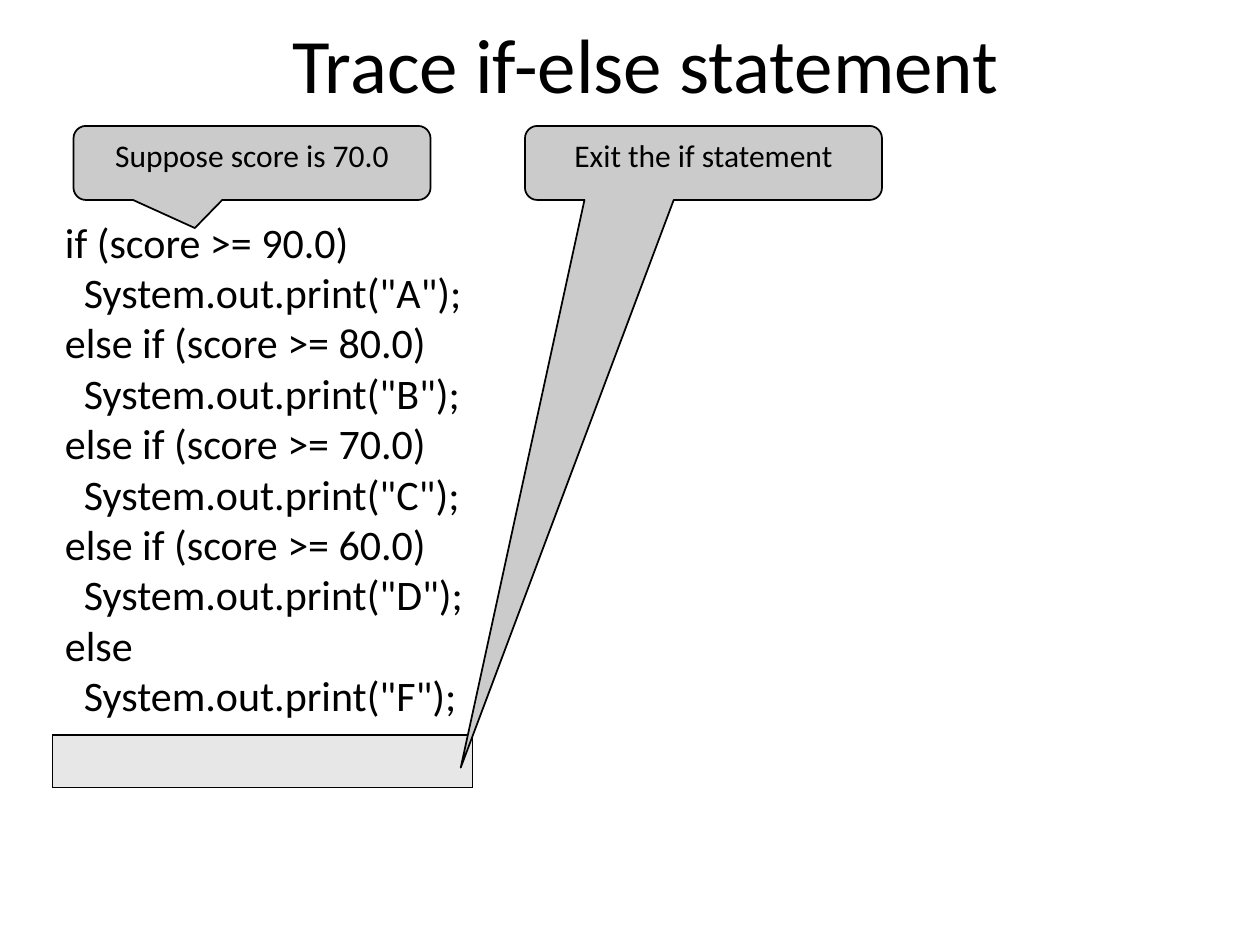
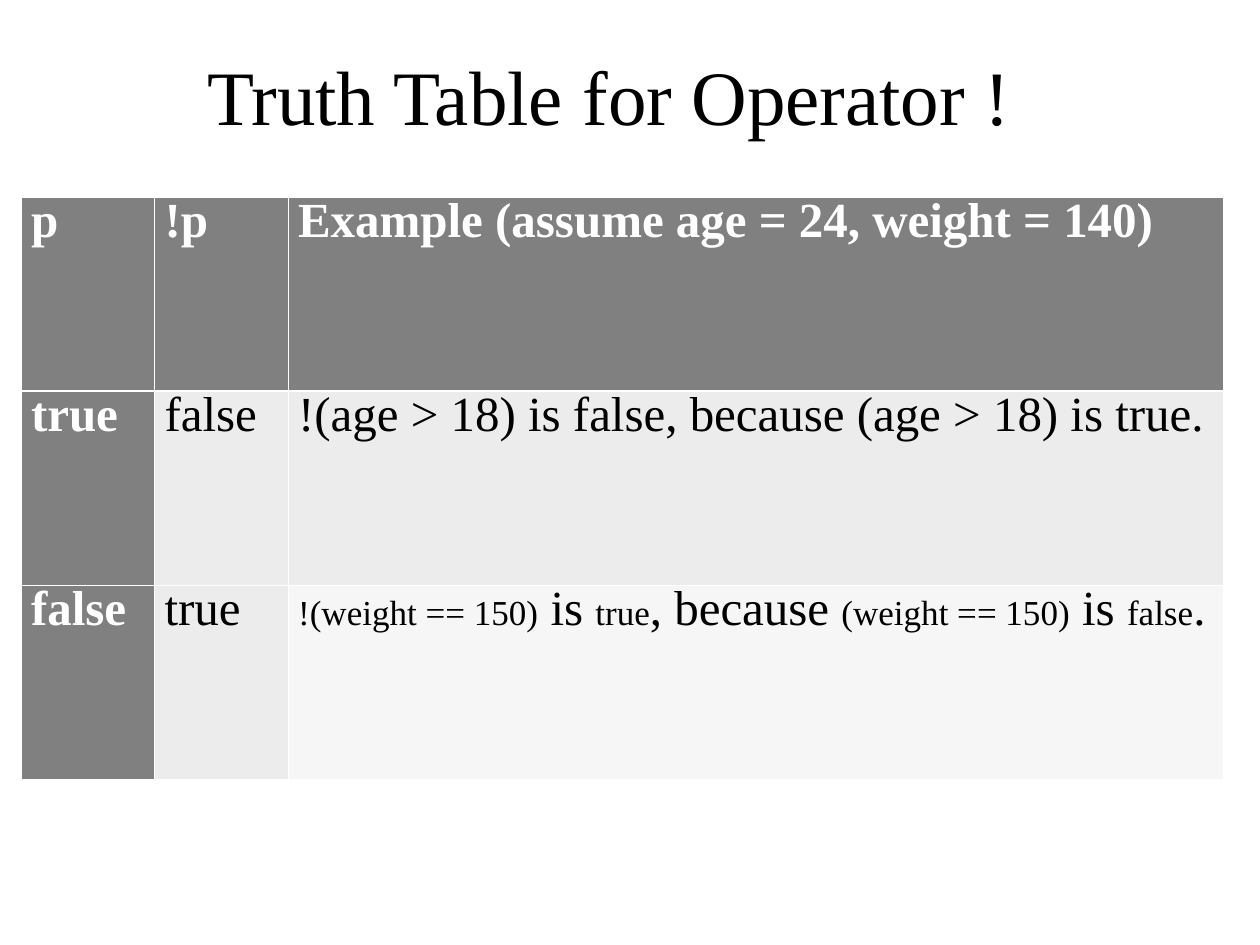
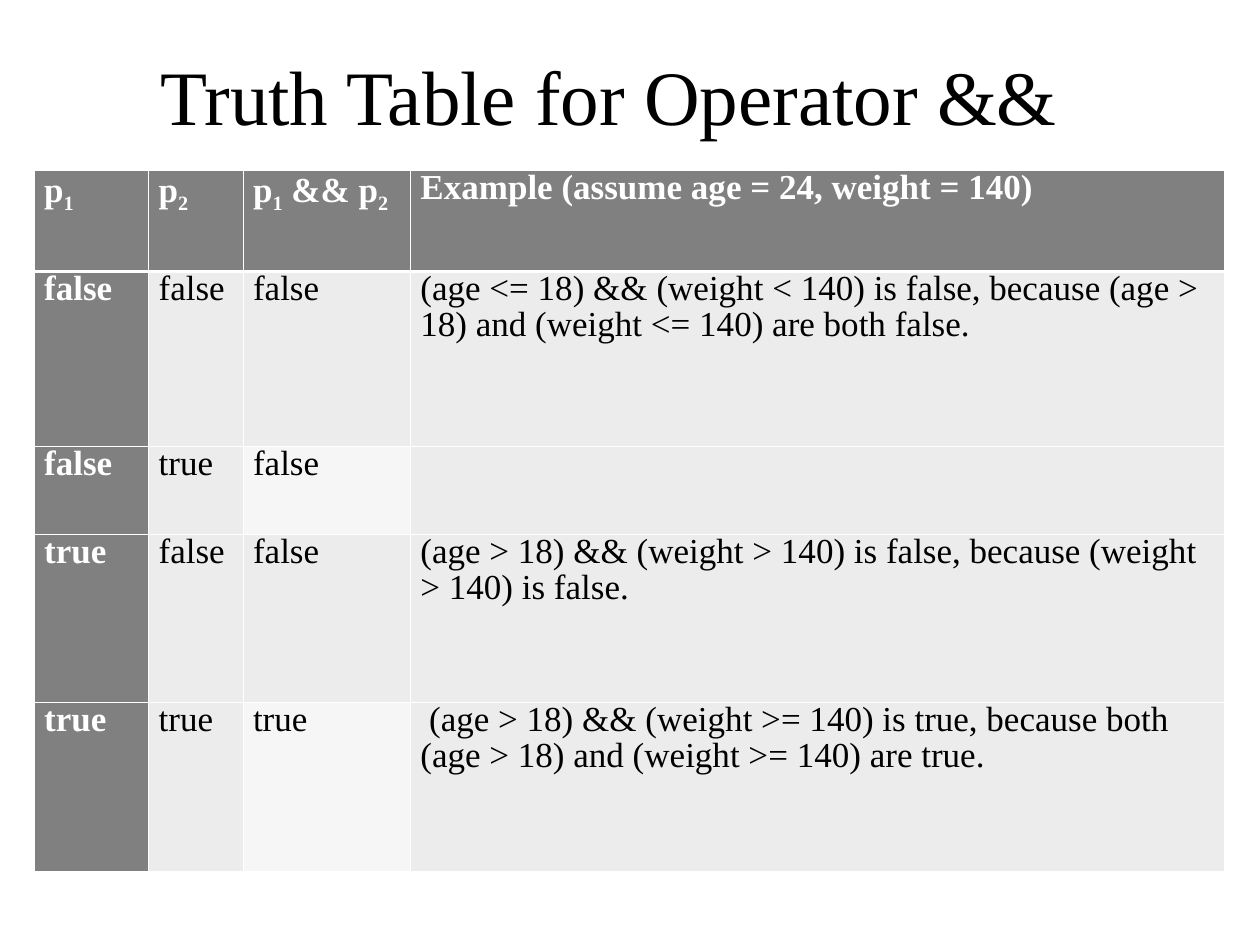
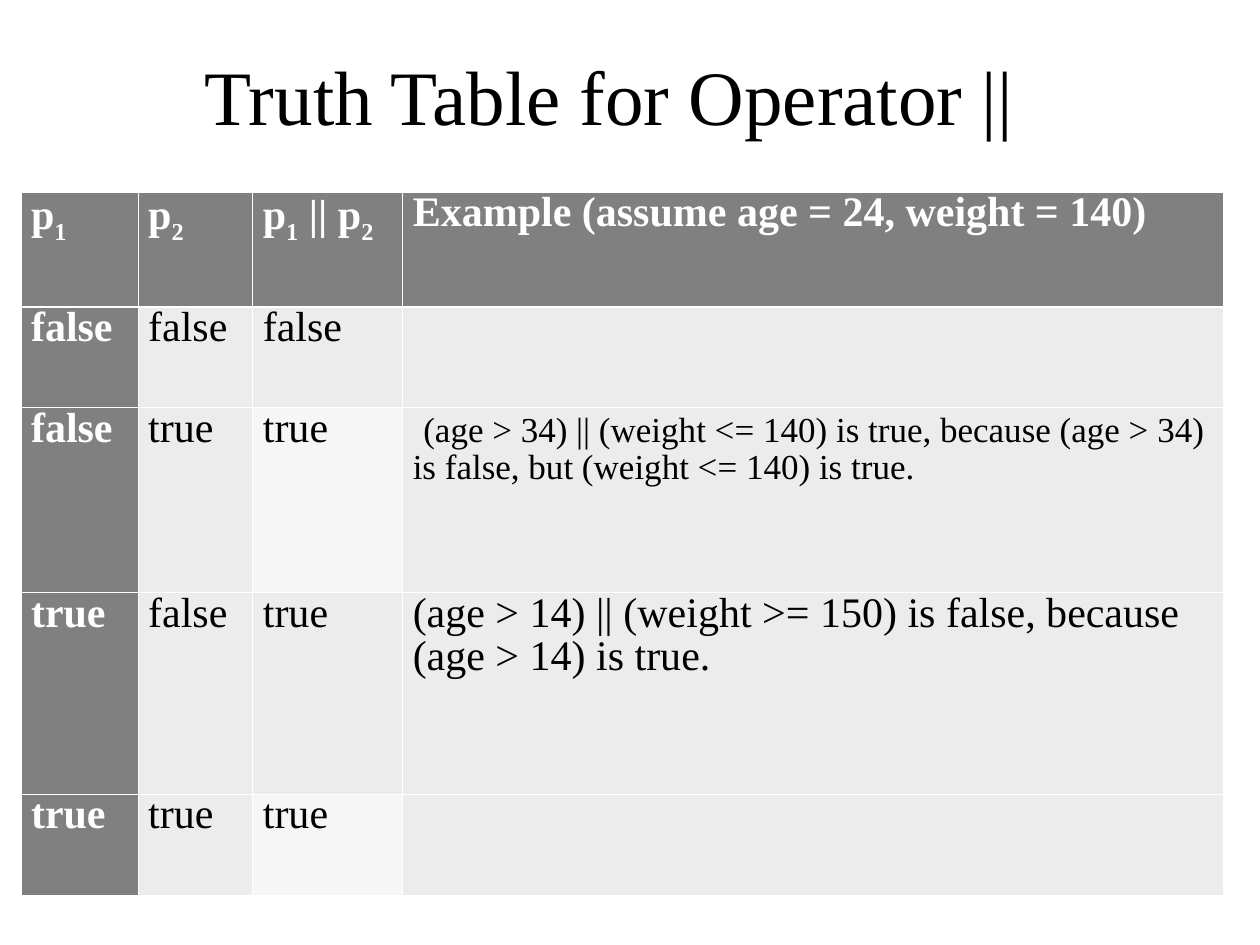
import lxml.etree
import pptx
import pptx.dml.color
import pptx.enum.shapes
import pptx.enum.text
import pptx.oxml.ns
import pptx.util

RGBColor = pptx.dml.color.RGBColor
Shape = pptx.enum.shapes.MSO_SHAPE
Align = pptx.enum.text.PP_ALIGN
Anchor = pptx.enum.text.MSO_ANCHOR
AutoSize = pptx.enum.text.MSO_AUTO_SIZE

BLACK = RGBColor(0x00, 0x00, 0x00)
WHITE = RGBColor(0xFF, 0xFF, 0xFF)
CALLOUT_GREY = RGBColor(0xCB, 0xCB, 0xCB)
HEADER_GREY = RGBColor(0x80, 0x80, 0x80)
CELL_GREY = RGBColor(0xEC, 0xEC, 0xEC)
PALE_GREY = RGBColor(0xF6, 0xF6, 0xF6)

SANS = "Calibri"
SERIF = "Times New Roman"
UNIT = pptx.util.Inches(1) / 12
THIN, THICK = 0.45, 1.47

TRUTH_TITLE_BOX = (7, 0, 102, 18)
EXAMPLE_HEADING = "Example (assume age = 24, weight = 140)"
CODE_LINES = [
    "if (score >= 90.0)",
    '  System.out.print("A");',
    "else if (score >= 80.0)",
    '  System.out.print("B");',
    "else if (score >= 70.0)",
    '  System.out.print("C");',
    "else if (score >= 60.0)",
    '  System.out.print("D");',
    "else",
    '  System.out.print("F");',
]


def grid(*units):
    return [pptx.util.Emu(round(unit * UNIT)) for unit in units]


def write(para, text, font=SANS, size=18, color=BLACK, bold=False, baseline=0):
    span = para.add_run()
    span.text = text
    span.font.name = font
    span.font.size = pptx.util.Pt(size)
    span.font.color.rgb = color
    span.font.bold = bold
    if baseline:
        span.font._element.set("baseline", str(baseline * 1000))


def add_page(deck, title, box, font):
    page = deck.slides.add_slide(deck.slide_layouts[5])
    heading = page.shapes.title
    heading.left, heading.top, heading.width, heading.height = grid(*box)
    frame = heading.text_frame
    frame.word_wrap = True
    frame.auto_size = AutoSize.NONE
    frame.vertical_anchor = Anchor.MIDDLE
    frame.paragraphs[0].alignment = Align.CENTER
    write(frame.paragraphs[0], title, font=font, size=44)
    return page


def add_outlined(page, kind, box):
    shape = page.shapes.add_shape(kind, *grid(*box))
    shape.shadow.inherit = False
    shape.line.color.rgb = BLACK
    shape.line.width = pptx.util.Pt(1)
    return shape


def add_code(page, box):
    frame = page.shapes.add_textbox(*grid(*box)).text_frame
    frame.word_wrap = True
    frame.auto_size = AutoSize.SHAPE_TO_FIT_TEXT
    for number, line in enumerate(CODE_LINES):
        para = frame.add_paragraph() if number else frame.paragraphs[0]
        write(para, line, size=24)


def add_callout(page, box, text, pointer):
    callout = add_outlined(page, Shape.ROUNDED_RECTANGULAR_CALLOUT, box)
    callout.fill.solid()
    callout.fill.fore_color.rgb = CALLOUT_GREY
    callout.adjustments[0], callout.adjustments[1] = pointer
    frame = callout.text_frame
    frame.word_wrap = True
    frame.vertical_anchor = Anchor.TOP
    frame.paragraphs[0].alignment = Align.CENTER
    write(frame.paragraphs[0], text)


def add_highlight(page, box):
    tint = add_outlined(page, Shape.RECTANGLE, box)
    tint.fill.solid()
    tint.fill.fore_color.rgb = CALLOUT_GREY
    color = tint.fill._xPr.find(".//" + pptx.oxml.ns.qn("a:srgbClr"))
    lxml.etree.SubElement(color, pptx.oxml.ns.qn("a:alpha"), val="45000")
    add_outlined(page, Shape.RECTANGLE, box).fill.background()


def add_trace_page(deck):
    page = add_page(deck, "Trace if-else statement", (9, 0, 105, 12), SANS)
    add_code(page, (5, 20, 45, 49.2))
    add_callout(page, (7, 12, 34, 7.05), "Suppose score is 70.0", (-0.16, 0.88))
    add_highlight(page, (5, 70, 40, 5))
    add_callout(page, (50, 12, 34, 7.05), "Exit the if statement", (-0.68, 8.17))


def set_borders(cell, row):
    widths = {
        "L": THIN,
        "R": THIN,
        "T": THICK if row == 1 else THIN,
        "B": THICK if row == 0 else THIN,
    }
    properties = cell._tc.get_or_add_tcPr()
    for side, width in widths.items():
        line = lxml.etree.SubElement(
            properties, pptx.oxml.ns.qn("a:ln" + side), w=str(pptx.util.Pt(width))
        )
        fill = lxml.etree.SubElement(line, pptx.oxml.ns.qn("a:solidFill"))
        lxml.etree.SubElement(fill, pptx.oxml.ns.qn("a:srgbClr"), val=str(WHITE))


def fill_cell(cell, row, column, content, size):
    is_heading = row == 0 or column == 0
    is_pale = column == 2 and row % 2 == 0
    set_borders(cell, row)
    cell.fill.solid()
    cell.fill.fore_color.rgb = (
        HEADER_GREY if is_heading else PALE_GREY if is_pale else CELL_GREY
    )
    cell.margin_left = cell.margin_right = pptx.util.Inches(0.08)
    cell.margin_top = cell.margin_bottom = 0
    cell.vertical_anchor = Anchor.TOP
    para = cell.text_frame.paragraphs[0]
    para.line_spacing = 0.93
    style = {
        "font": SERIF,
        "size": size,
        "color": WHITE if is_heading else BLACK,
        "bold": is_heading,
    }
    spans = [(content, {})] if isinstance(content, str) else content
    for text, changes in spans:
        if text:
            write(para, text, **{**style, **changes})


def add_truth_table(page, box, columns, rows, size, contents):
    left, top, width, height = grid(*box)
    table = page.shapes.add_table(
        len(rows), len(columns), left, top, width, height
    ).table
    table.horz_banding = False
    for column, share in zip(table.columns, columns):
        column.width = round(width * share / sum(columns))
    for row, share in zip(table.rows, rows):
        row.height = round(height * share / sum(rows))
    for row, line in enumerate(contents):
        for column, content in enumerate(line):
            fill_cell(table.cell(row, column), row, column, content, size)


def add_truth_page(deck, operator, **layout):
    title = f"Truth Table for Operator {operator}"
    page = add_page(deck, title, TRUTH_TITLE_BOX, SERIF)
    add_truth_table(page, **layout)


def operand(number, lead=""):
    return [(lead + "p", {}), (str(number), {"baseline": -25})]


def binary_contents(operator, results, examples):
    heading = [
        operand(1),
        operand(2),
        operand(1) + operand(2, f" {operator} "),
        EXAMPLE_HEADING,
    ]
    inputs = [(p1, p2) for p1 in ("false", "true") for p2 in ("false", "true")]
    return [heading] + [
        [p1, p2, result, example]
        for (p1, p2), result, example in zip(inputs, results, examples)
    ]


def main():
    deck = pptx.Presentation()
    deck.slide_width, deck.slide_height = grid(120, 90)
    add_trace_page(deck)

    small = {"size": 20}
    negation_example = [
        ("!(weight == 150)", small),
        (" is ", {}),
        ("true", small),
        (", because ", {}),
        ("(weight == 150)", small),
        (" is ", {}),
        ("false", small),
        (".", {}),
    ]
    add_truth_page(
        deck, "!",
        box=(2, 18.8, 114.48, 55.4),
        columns=(1, 1, 7),
        rows=(1, 1, 1),
        size=28,
        contents=[
            ["p", "!p", EXAMPLE_HEADING],
            ["true", "false", "!(age > 18) is false, because (age > 18) is true."],
            ["false", "true", negation_example],
        ],
    )

    add_truth_page(
        deck, "&&",
        box=(3.25, 16.27, 113.4, 66.72),
        columns=(0.91, 0.75, 1.33, 6.47),
        rows=(0.8, 1.39, 0.7, 1.34, 1.34),
        size=20,
        contents=binary_contents("&&", ("false", "false", "false", "true"), (
            "(age <= 18) && (weight < 140) is false, because (age > 18) "
            "and (weight <= 140) are both false.",
            "",
            "(age > 18) && (weight > 140) is false, because (weight > 140) is false.",
            " (age > 18) && (weight >= 140) is true, because both (age > 18) "
            "and (weight >= 140) are true.",
        )),
    )

    add_truth_page(
        deck, "||",
        box=(2, 18.3, 114.48, 66.96),
        columns=(0.93, 0.91, 1.19, 6.51),
        rows=(0.91, 0.8, 1.47, 1.6, 0.8),
        size=24,
        contents=binary_contents("||", ("false", "true", "true", "true"), (
            "",
            [
                (" ", {}),
                ("(age > 34) || (weight <= 140) is true, because (age > 34) "
                 "is false, but (weight <= 140) is true.", small),
            ],
            "(age > 14) || (weight >= 150) is false, because (age > 14) is true.",
            "",
        )),
    )
    deck.save("out.pptx")


if __name__ == "__main__":
    main()
